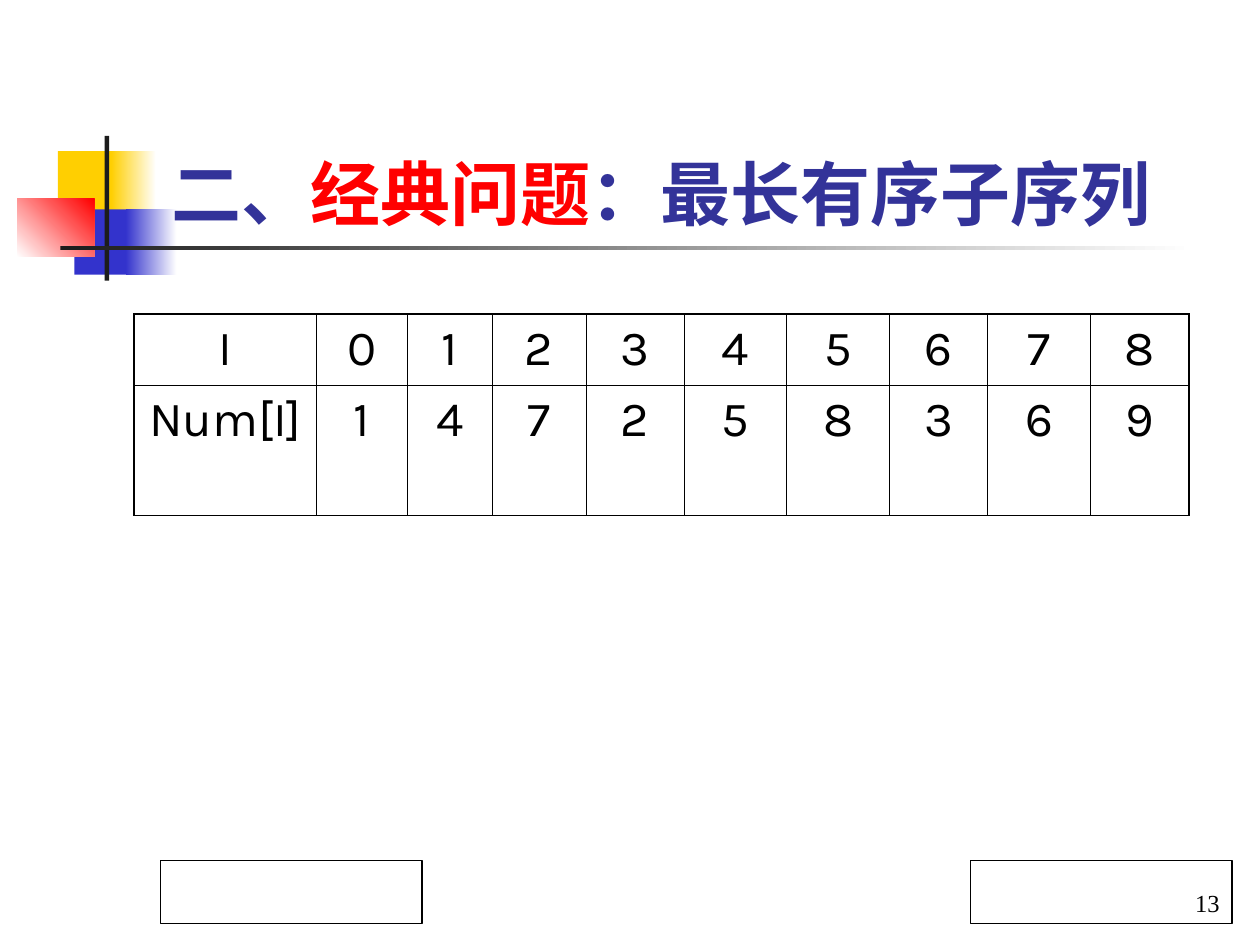
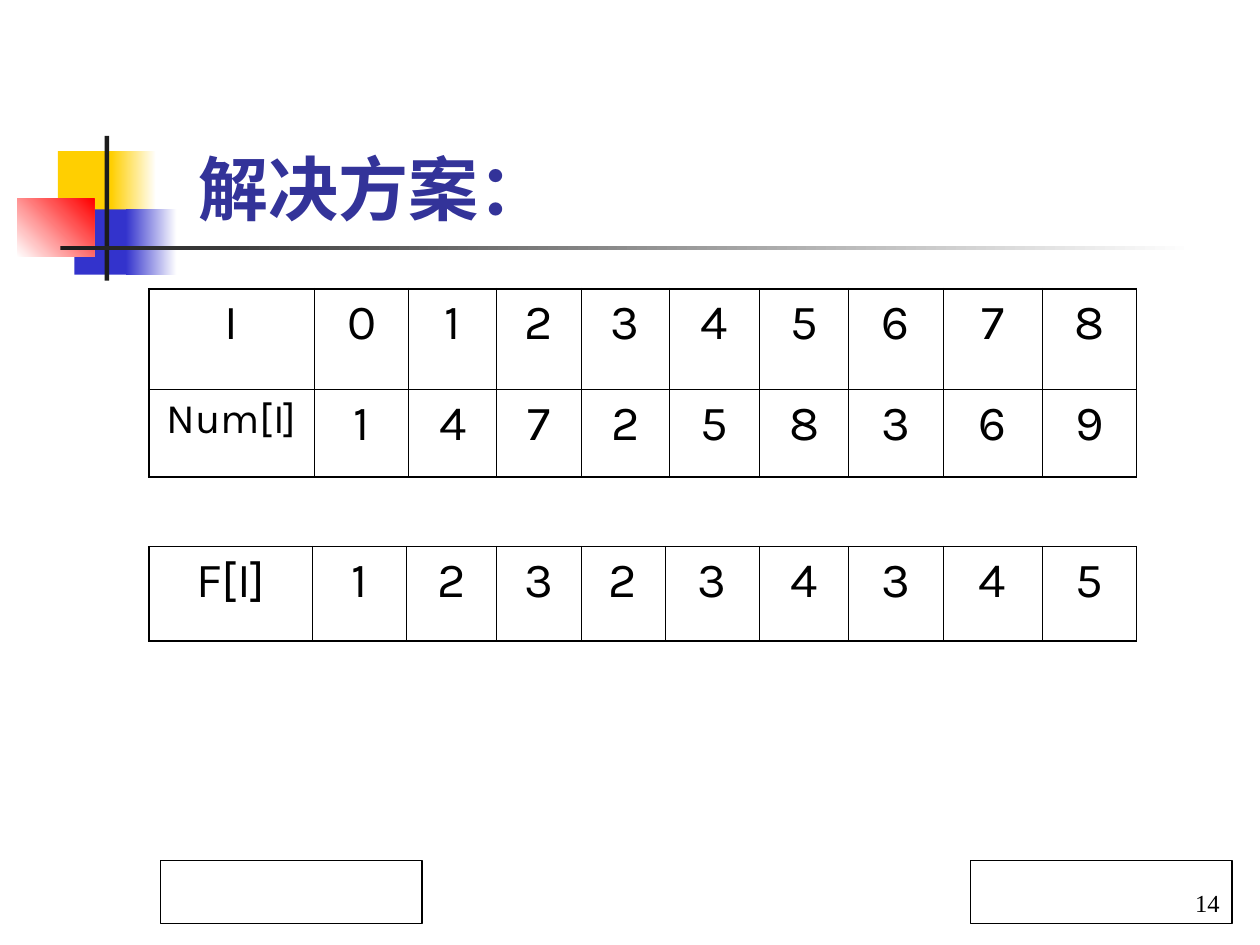
from lxml import etree
from pptx import Presentation
from pptx.dml.color import RGBColor
from pptx.enum.lang import MSO_LANGUAGE_ID
from pptx.enum.shapes import MSO_SHAPE
from pptx.enum.text import MSO_ANCHOR, PP_ALIGN
from pptx.oxml.ns import qn
from pptx.util import Cm, Pt

RECT = MSO_SHAPE.RECTANGLE
BOTTOM = MSO_ANCHOR.BOTTOM
CENTER, RIGHT = PP_ALIGN.CENTER, PP_ALIGN.RIGHT
CHINESE = MSO_LANGUAGE_ID.SIMPLIFIED_CHINESE

BLACK, WHITE, RED = "000000", "FFFFFF", "FF0000"
YELLOW, BLUE, DARK, TITLE = "FFCF01", "3333CC", "1C1C1C", "333399"
THIN, THICK = 0.45, 1.08

DECOR = [
    (1.17, 3.05, 1.22, 1.32, [YELLOW], 0),
    (2.24, 3.05, 0.91, 1.32, [YELLOW, WHITE], 0),
    (1.5, 4.22, 1.17, 1.32, [BLUE], 0),
    (2.54, 4.22, 1.02, 1.32, [BLUE, WHITE], 0),
    (0.35, 4.01, 1.55, 1.17, [WHITE, RED], 45),
    (2.11, 2.74, 0.09, 2.92, [DARK], 0),
    (1.22, 4.95, 22.86, 0.09, [DARK, WHITE], 0),
]

SLIDES = [
    {
        "number": "13",
        "title_box": (3.2, 2.31, 21.64, 2.54),
        "title": [("二、", TITLE), ("经典问题", RED), ("：最长有序子序列", TITLE)],
        "tables": [
            {
                "at": (2.7, 6.33),
                "cols": [3.68, 1.83, 1.71, 1.89, 1.98, 2.07, 2.07, 1.98, 2.08, 1.98],
                "rows": [1.44, 2.62],
                "label_sizes": [28, 28],
                "data": [("I", "012345678"), ("Num[I]", "147258369")],
            },
        ],
    },
    {
        "number": "14",
        "title_box": (3.76, 2.82, 14.15, 1.93),
        "title": [("解决方案：", TITLE)],
        "tables": [
            {
                "at": (3, 5.82),
                "cols": [3.34, 1.9, 1.77, 1.7, 1.79, 1.81, 1.8, 1.9, 2, 1.9],
                "rows": [2.02, 1.78],
                "label_sizes": [28, 24],
                "data": [("I", "012345678"), ("Num[I]", "147258369")],
            },
            {
                "at": (3, 11.02),
                "cols": [3.3, 1.9, 1.81, 1.7, 1.7, 1.9, 1.8, 1.9, 2, 1.9],
                "rows": [1.9],
                "label_sizes": [28],
                "data": [("F[I]", "123234345")],
            },
        ],
    },
]


def rgb(color):
    return RGBColor.from_string(color)


def add_run(p, text, size, font, color):
    r = p.add_run()
    r.text = text
    r.font.size = Pt(size)
    r.font.name = font
    r.font.color.rgb = rgb(color)
    return r


prs = Presentation()
prs.slide_width, prs.slide_height = Cm(25.4), Cm(19.05)

for content in SLIDES:
    s = prs.slides.add_slide(prs.slide_layouts[6])

    for x, y, w, h, colors, angle in DECOR:
        sp = s.shapes.add_shape(RECT, Cm(x), Cm(y), Cm(w), Cm(h))
        sp.shadow.inherit = False
        sp.line.fill.background()
        if len(colors) == 1:
            sp.fill.solid()
            sp.fill.fore_color.rgb = rgb(colors[0])
        else:
            sp.fill.gradient()
            sp.fill.gradient_angle = angle
            for stop, color in zip(sp.fill.gradient_stops, colors):
                stop.color.rgb = rgb(color)

    tf = s.shapes.add_textbox(*[Cm(v) for v in content["title_box"]]).text_frame
    tf.word_wrap = True
    tf.vertical_anchor = BOTTOM
    for text, color in content["title"]:
        r = add_run(tf.paragraphs[0], text, 40, "Arial", color)
        r.font.bold = True
        r.font.language_id = CHINESE

    for spec in content["tables"]:
        cols, rows = spec["cols"], spec["rows"]
        x, y = spec["at"]
        table = s.shapes.add_table(len(rows), len(cols), Cm(x), Cm(y),
                                   Cm(sum(cols)), Cm(sum(rows))).table
        table.first_row = table.horz_banding = False
        for column, width in zip(table.columns, cols):
            column.width = Cm(width)
        for i, (label, digits) in enumerate(spec["data"]):
            table.rows[i].height = Cm(rows[i])
            for j, text in enumerate([label, *digits]):
                cell = table.cell(i, j)
                p = cell.text_frame.paragraphs[0]
                p.alignment = CENTER
                size = spec["label_sizes"][i] if j == 0 else 28
                add_run(p, text, size, "Karla", BLACK)
                outer_edges = {
                    "a:lnL": j == 0,
                    "a:lnR": j == len(cols) - 1,
                    "a:lnT": i == 0,
                    "a:lnB": i == len(rows) - 1,
                }
                tcPr = cell._tc.get_or_add_tcPr()
                for tag, outer in outer_edges.items():
                    width = Pt(THICK if outer else THIN)
                    ln = etree.SubElement(tcPr, qn(tag), w=str(width))
                    fill = etree.SubElement(ln, qn("a:solidFill"))
                    etree.SubElement(fill, qn("a:srgbClr"), val=BLACK)
                cell.fill.background()

    for x, text in [(3.23, ""), (19.56, content["number"])]:
        sp = s.shapes.add_shape(RECT, Cm(x), Cm(17.35), Cm(5.28), Cm(1.27))
        sp.shadow.inherit = False
        sp.fill.solid()
        sp.fill.fore_color.rgb = rgb(WHITE)
        sp.line.color.rgb = rgb(BLACK)
        sp.line.width = Pt(0.75)
        if text:
            tf = sp.text_frame
            tf.vertical_anchor = BOTTOM
            p = tf.paragraphs[0]
            p.alignment = RIGHT
            add_run(p, text, 14, "Times New Roman", BLACK)

prs.save("out.pptx")
